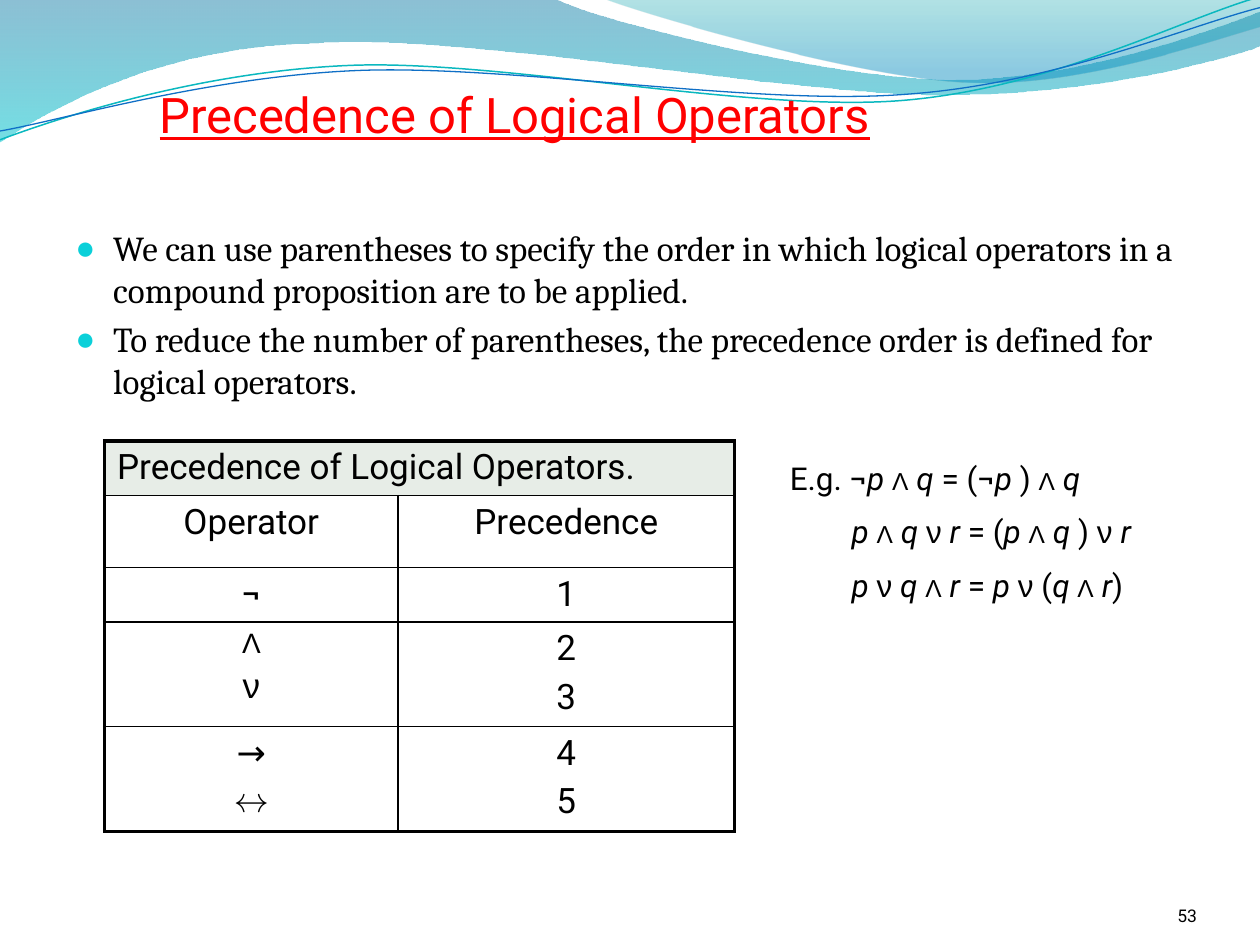
from itertools import groupby
from math import cos, radians, sin
from lxml.etree import SubElement
from pptx import Presentation
from pptx.dml.color import RGBColor
from pptx.enum.text import MSO_ANCHOR, MSO_AUTO_SIZE, PP_ALIGN
from pptx.oxml import parse_xml
from pptx.oxml.ns import nsdecls, qn
from pptx.util import Inches, Pt

BLACK = RGBColor(0x00, 0x00, 0x00)
RED = RGBColor(0xFF, 0x00, 0x00)
PALE_GREEN = RGBColor(0xE7, 0xED, 0xE7)
BULLET_TEAL = RGBColor(0x0B, 0xD0, 0xD9)
LINE_TEAL = RGBColor(0x0A, 0xB8, 0xBF)
LINE_BLUE = RGBColor(0x0F, 0x6F, 0xC6)
DEEP_BLUE = RGBColor(0x00, 0x74, 0xA1)
AQUA = RGBColor(0x00, 0xC6, 0xCF)
SEA_GREEN = RGBColor(0x00, 0xA1, 0xA9)
SKY_BLUE = RGBColor(0x00, 0x8B, 0xBF)

# Wave outlines: two numbers are a straight step, six are a Bezier curve
LEFT_WAVE = [(0, 0), (4.4, -0.01), (4.76, 0.17, 6.64, 0.63, 7.58, 0.63),
             (8.53, 0.63, 9.58, 0.26, 10, 0.09), (10.01, 0.36),
             (9.83, 0.44, 8.7, 0.76, 7.46, 0.75),
             (6.22, 0.75, 3.82, 0.28, 2.57, 0.34),
             (1.29, 0.36, 0.46, 0.83, -0.01, 1.13), (0, 0)]
RIGHT_WAVE = [(4.79, -0.01), (5.09, 0.11, 6.82, 0.62, 7.69, 0.65),
              (8.56, 0.69, 9.61, 0.32, 10, 0.21), (10, 0), (4.79, -0.01)]
TEAL_CURVE = [(0, 1.11), (0.48, 0.93, 1.58, 0.57, 2.77, 0.52),
              (3.95, 0.47, 5.93, 0.89, 7.13, 0.8),
              (8.33, 0.71, 9.38, 0.15, 9.98, -0.02)]
BLUE_CURVE = [(0, 1.04), (0.47, 0.96, 1.64, 0.61, 2.83, 0.56),
              (4.03, 0.51, 5.97, 0.84, 7.17, 0.75),
              (8.36, 0.67, 9.41, 0.21, 10, 0.06)]
CURVE_TILT = -2.7

BULLETS = [
    "We can use parentheses to specify the order in which logical operators "
    "in a compound proposition are to be applied.",
    "To reduce the number of parentheses, the precedence order is defined for "
    "logical operators.",
]
ROWS = [("Precedence of Logical Operators.", ""), ("Operator", "Precedence"),
        ("¬", "1"), ("Λ\nν", "2\n3"), ("→\n↔", "4\n5")]
COLUMN_WIDTHS = [2.33, 2.67]
ROW_HEIGHTS = [0.43, 0.57, 0.43, 0.83, 0.83]
EXAMPLES = ["E.g. ¬p Λ q = (¬p ) Λ q", "p Λ q ν r = (p Λ q ) ν r",
            "p ν q Λ r = p ν (q Λ r)"]


def symbol_kind(letter):
    if letter in "pqr":
        return "variable"
    return {"Λ": "and", "ν": "or"}.get(letter, "plain")


class SlideWriter:
    body_font, main_font, symbol_font = "Cambria", "Roboto", "Arial"

    def __init__(self, page):
        self.page = page

    def style(self, font, name, size, color=BLACK):
        font.name, font.size, font.color.rgb = name, Pt(size), color

    def place(self, shape, left, top, width, height):
        shape.left, shape.top = Inches(left), Inches(top)
        shape.width, shape.height = Inches(width), Inches(height)

    def outline(self, steps, area, tilt=0):
        left, top, width, height = area
        builder = self.page.shapes.build_freeform(0, 0)
        builder.add_line_segments([(Inches(width), Inches(height))], close=False)
        shape = builder.convert_to_shape()
        self.place(shape, *area)
        shape.rotation = tilt % 360
        shape.shadow.inherit = False

        # Undo the tilt in the points, as the shape itself is turned
        turn = radians(-tilt)
        outline = next(shape._element.iter(qn("a:path")))
        outline.set("w", str(Inches(width)))
        outline.set("h", str(Inches(height)))
        for child in list(outline):
            outline.remove(child)
        for number, step in enumerate(steps):
            tag = "a:cubicBezTo" if len(step) == 6 else "a:lnTo" if number else "a:moveTo"
            command = SubElement(outline, qn(tag))
            for x, y in zip(step[::2], step[1::2]):
                across, down = x - left - width / 2, y - top - height / 2
                SubElement(
                    command, qn("a:pt"),
                    x=str(Inches(across * cos(turn) - down * sin(turn) + width / 2)),
                    y=str(Inches(across * sin(turn) + down * cos(turn) + height / 2)))
        if steps[0] == steps[-1]:
            SubElement(outline, qn("a:close"))
        return shape

    def wave(self, steps, area, stops):
        shape = self.outline(steps, area)
        shape.line.fill.background()
        shape.fill.gradient()
        shape.fill.gradient_angle = 270
        for stop, (position, color, opacity) in zip(shape.fill.gradient_stops, stops):
            stop.position, stop.color.rgb = position, color
        colors = shape._element.spPr.iter(qn("a:srgbClr"))
        for element, (position, color, opacity) in zip(colors, stops):
            SubElement(element, qn("a:alpha"), val=str(opacity * 1000))

    def curve(self, steps, area, color, width):
        shape = self.outline(steps, area, CURVE_TILT)
        shape.fill.background()
        shape.line.color.rgb, shape.line.width = color, Pt(width)

    def title(self, text, *area):
        shape = self.page.shapes.title
        self.page.shapes._spTree.append(shape._element)  # in front of the waves
        self.place(shape, *area)
        shape.text_frame.text = text
        shape.text_frame.vertical_anchor = MSO_ANCHOR.TOP
        para = shape.text_frame.paragraphs[0]
        para.alignment = PP_ALIGN.CENTER
        self.style(para.runs[0].font, self.main_font, 28, RED)
        para.runs[0].font.underline = True

    def text(self, lines, area, size, font, gap=0):
        box = self.page.shapes.add_textbox(*(Inches(length) for length in area))
        box.text_frame.word_wrap = True
        box.text_frame.text = "\n".join(lines)
        for number, para in enumerate(box.text_frame.paragraphs):
            para.space_before = Pt(gap if number else 0)
            for span in para.runs:
                self.style(span.font, font, size)
        return box.text_frame

    def bullets(self, lines, *area):
        frame = self.text(lines, area, 20, self.body_font, 4)
        for para in frame.paragraphs:
            properties = para._p.get_or_add_pPr()
            properties.set("marL", str(Inches(0.3)))
            properties.set("indent", str(-Inches(0.3)))
            color = SubElement(properties, qn("a:buClr"))
            SubElement(color, qn("a:srgbClr"), val=str(BULLET_TEAL))
            SubElement(properties, qn("a:buSzPct"), val="95000")
            SubElement(properties, qn("a:buFont"), typeface=self.symbol_font)
            SubElement(properties, qn("a:buChar"), char="●")

    def formulas(self, lines, *area):
        frame = self.text([""] * len(lines), area, 18, self.main_font, 9)
        frame.auto_size = MSO_AUTO_SIZE.SHAPE_TO_FIT_TEXT
        looks = {"and": (self.symbol_font, 14), "or": (self.symbol_font, 18)}
        for number, (para, line) in enumerate(zip(frame.paragraphs, lines)):
            if number:
                para._p.get_or_add_pPr().set("marL", str(Inches(0.49)))
            for kind, letters in groupby(line, symbol_kind):
                span = para.add_run()
                span.text = "".join(letters)
                self.style(span.font, *looks.get(kind, (self.main_font, 18)))
                span.font.italic = kind == "variable"

    def borders(self, cell, widths):
        properties = cell._tc.get_or_add_tcPr()
        for index, (side, width) in enumerate(zip("LRTB", widths)):
            properties.insert(index, parse_xml(
                f'<a:ln{side} {nsdecls("a")} w="{Pt(width)}"><a:solidFill>'
                f'<a:srgbClr val="{BLACK}"/></a:solidFill></a:ln{side}>'))

    def table(self, rows, left, top):
        last_row, last_column = len(rows) - 1, len(COLUMN_WIDTHS) - 1
        table = self.page.shapes.add_table(
            len(rows), len(COLUMN_WIDTHS), Inches(left), Inches(top),
            Inches(sum(COLUMN_WIDTHS)), Inches(sum(ROW_HEIGHTS))).table
        table.first_row = table.horz_banding = False
        for column, width in zip(table.columns, COLUMN_WIDTHS):
            column.width = Inches(width)
        for row, height in zip(table.rows, ROW_HEIGHTS):
            row.height = Inches(height)
        table.cell(0, 0).merge(table.cell(0, last_column))
        for r, texts in enumerate(rows):
            for c, text in enumerate(texts):
                cell = table.cell(r, c)
                cell.text_frame.text = text
                if r == 0:
                    cell.fill.solid()
                    cell.fill.fore_color.rgb = PALE_GREEN
                else:
                    cell.fill.background()
                edges = (c == 0, c == last_column or r == 0, r == 0, r == last_row)
                self.borders(cell, [2.25 if edge else 1 for edge in edges])
                for number, para in enumerate(cell.text_frame.paragraphs):
                    para.alignment = PP_ALIGN.CENTER if r else PP_ALIGN.LEFT
                    para.space_before = Pt(4 if number else 0)
                    for span in para.runs:
                        font = self.symbol_font if span.text in "Λν" else self.main_font
                        self.style(span.font, font, 16 if span.text == "Λ" else 20)

    def page_number(self, number, *area):
        frame = self.text([number], area, 10, self.main_font)
        frame.margin_left = frame.margin_right = frame.margin_top = frame.margin_bottom = 0
        frame.vertical_anchor = MSO_ANCHOR.BOTTOM
        frame.paragraphs[0].alignment = PP_ALIGN.RIGHT


def main():
    deck = Presentation()
    deck.slide_width, deck.slide_height = Inches(10), Inches(7.5)
    writer = SlideWriter(deck.slides.add_slide(deck.slide_layouts[5]))
    # Wave decoration
    writer.wave(LEFT_WAVE, (-0.01, -0.01, 10.02, 1.14), [(0, DEEP_BLUE, 45), (1, AQUA, 55)])
    writer.wave(RIGHT_WAVE, (4.79, -0.01, 5.21, 0.7), [(0, SEA_GREEN, 30), (0.8, SKY_BLUE, 45)])
    writer.curve(TEAL_CURVE, (-0.02, 0.22, 10.02, 0.71), LINE_TEAL, 0.85)
    writer.curve(BLUE_CURVE, (-0.02, 0.3, 10.03, 0.58), LINE_BLUE, 0.75)
    # Content
    writer.bullets(BULLETS, 0.5, 1.75, 8.92, 2.75)
    writer.table(ROWS, 0.83, 3.5)
    writer.page_number("53", 8.67, 6.95, 0.83, 0.4)
    writer.title("Precedence of Logical Operators", 0.5, 0.62, 7.17, 0.57)
    writer.formulas(EXAMPLES, 6.17, 3.59, 3.67, 1.3)
    deck.save("out.pptx")


if __name__ == "__main__":
    main()
